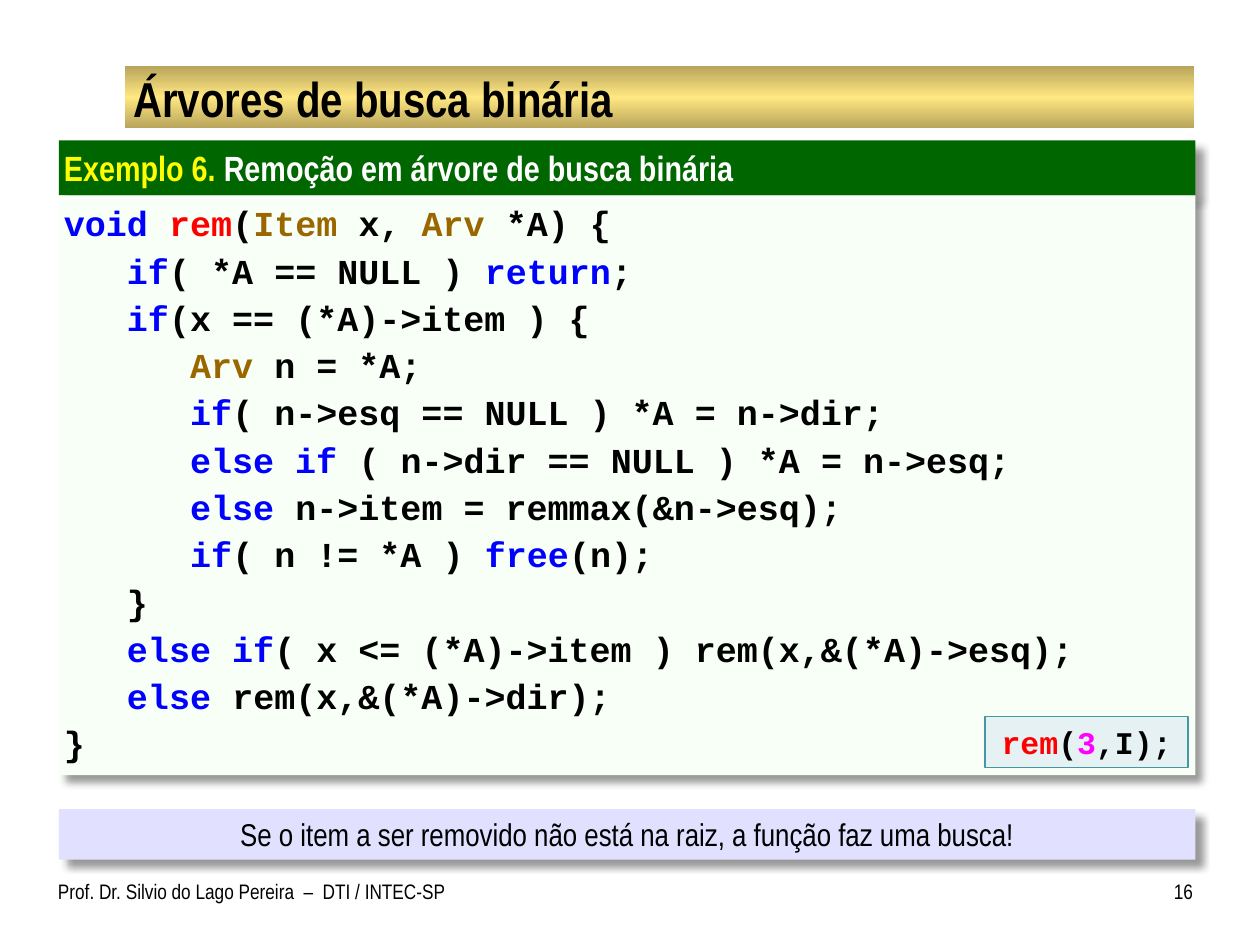
from lxml.etree import SubElement
from pptx import Presentation
from pptx.dml.color import RGBColor
from pptx.enum.shapes import MSO_SHAPE
from pptx.enum.text import MSO_ANCHOR, PP_ALIGN
from pptx.oxml.ns import qn
from pptx.util import Cm, Pt

NARROW, MONO = "Arial Narrow", "Courier New"
BLACK, WHITE, YELLOW = "000000", "FFFFFF", "FFFF00"
BLUE, RED, BROWN, MAGENTA = "0000FF", "FF0000", "996600", "FF00FF"
LEFT, WIDTH = 1.19, 22.91

TITLE = [[("Árvores de busca binária", BLACK)]]
HEADING = [[("Exemplo 6.", YELLOW), (" Remoção em árvore de busca binária", WHITE)]]
CODE = [
    [("void ", BLUE), ("rem", RED), ("(", BLACK), ("Item", BROWN),
     (" x, ", BLACK), ("Arv", BROWN), (" *A) {", BLACK)],
    [("   if", BLUE), ("( *A == NULL ) ", BLACK), ("return", BLUE), (";", BLACK)],
    [("   if", BLUE), ("(x == (*A)->item ) {", BLACK)],
    [("      Arv", BROWN), (" n = *A;", BLACK)],
    [("      if", BLUE), ("( n->esq == NULL ) *A = n->dir;", BLACK)],
    [("      else if", BLUE), (" ( n->dir == NULL ) *A = n->esq;", BLACK)],
    [("      else", BLUE), (" n->item = remmax(&n->esq);", BLACK)],
    [("      if", BLUE), ("( n != *A ) ", BLACK), ("free", BLUE), ("(n);", BLACK)],
    [("   }", BLACK)],
    [("   else if", BLUE), ("( x <= (*A)->item ) rem(x,&(*A)->esq);", BLACK)],
    [("   else ", BLUE), ("rem(x,&(*A)->dir);", BLACK)],
    [("}", BLACK)],
]
CALL = [[("rem", RED), ("(", BLACK), ("3", MAGENTA), (",I);", BLACK)]]
REMARK = [[("Se o item a ser removido não está na raiz, a função faz uma busca!", BLACK)]]
AUTHOR = [[("Prof. Dr. Silvio do Lago Pereira  –  DTI / INTEC-SP", BLACK)]]
NUMBER = [[("16", BLACK)]]


def color(value):
    """Turn a hex string into a colour."""
    return RGBColor.from_string(value)


def add_shadow(shape):
    """Give a shape a soft shadow to the lower right."""
    effects = shape._element.spPr.find(qn("a:effectLst"))
    shadow = SubElement(effects, qn("a:outerShdw"), blurRad=str(Pt(4)),
                        dist=str(Pt(6)), dir="2700000", algn="tl", rotWithShape="0")
    black = SubElement(shadow, qn("a:srgbClr"), val=BLACK)
    SubElement(black, qn("a:alpha"), val="40000")


def add_box(box, fill=None, line=None, shadow=False):
    """Add a rectangle at box, given in centimetres."""
    shape = slide.shapes.add_shape(MSO_SHAPE.RECTANGLE, *map(Cm, box))
    shape.shadow.inherit = False
    if fill:
        shape.fill.solid()
        shape.fill.fore_color.rgb = color(fill)
    if line:
        shape.line.color.rgb = color(line)
        shape.line.width = Pt(0.75)
    else:
        shape.line.fill.background()
    if shadow:
        add_shadow(shape)
    return shape


def write(shape, lines, font, size, bold=False, align=PP_ALIGN.LEFT,
          insets=(0.1, 0.13, 0.1, 0.13), anchor=MSO_ANCHOR.TOP, gap=0):
    """Fill a shape with lines of coloured runs, gap points apart."""
    frame = shape.text_frame
    frame.word_wrap = True
    frame.vertical_anchor = anchor
    (frame.margin_left, frame.margin_top,
     frame.margin_right, frame.margin_bottom) = map(Cm, insets)
    for index, runs in enumerate(lines):
        paragraph = frame.add_paragraph() if index else frame.paragraphs[0]
        paragraph.alignment = align
        paragraph.space_before = Pt(gap if index else 0)
        paragraph.font.name = font
        paragraph.font.size = Pt(size)
        paragraph.font.bold = bold
        for text, text_color in runs:
            run = paragraph.add_run()
            run.text = text
            run.font.color.rgb = color(text_color)


def add_text(box, lines, size, **options):
    """Add a text box in the narrow font."""
    write(slide.shapes.add_textbox(*map(Cm, box)), lines, NARROW, size, **options)


def add_gold_band(box, edge, middle):
    """Add a band that is lighter along its middle."""
    band = add_box(box)
    band.fill.gradient()
    band.fill.gradient_angle = 90
    stops = band.fill._fill._gradFill.find(qn("a:gsLst"))
    for stop in list(stops):
        stops.remove(stop)
    for position, value in ((0, edge), (50000, middle), (100000, edge)):
        stop = SubElement(stops, qn("a:gs"), pos=str(position))
        SubElement(stop, qn("a:srgbClr"), val=value)


presentation = Presentation()
presentation.slide_width, presentation.slide_height = Cm(25.4), Cm(19.05)
slide = presentation.slides.add_slide(presentation.slide_layouts[6])

add_gold_band((2.52, 1.33, 21.56, 1.26), "B8A45B", "FFE781")
heading = add_box((LEFT, 2.83, WIDTH, 1.11), "006600", shadow=True)
write(heading, HEADING, NARROW, 20, bold=True)
listing = add_box((LEFT, 3.94, WIDTH, 11.69), "F7FFF7", shadow=True)
write(listing, CODE, MONO, 20, bold=True, gap=3)
call = add_box((19.86, 14.45, 4.09, 1.02), "E5F1F3", line="4597A0")
write(call, CALL, MONO, 18, bold=True, align=PP_ALIGN.CENTER)
remark = add_box((LEFT, 16.31, WIDTH, 1.02), "E1E1FF", shadow=True)
write(remark, REMARK, NARROW, 18, align=PP_ALIGN.CENTER)

add_text((2.54, 1.37, 21.51, 1.19), TITLE, 28, bold=True,
         insets=(0.15, 0.03, 0.15, 0.03), anchor=MSO_ANCHOR.MIDDLE)
add_text((1.17, 17.58, 8.31, 1.07), AUTHOR, 12, insets=(0, 0.13, 0.1, 0.13))
add_text((23.06, 17.58, 0.99, 1.07), NUMBER, 12, align=PP_ALIGN.RIGHT,
         insets=(0.25, 0.13, 0, 0.13))

presentation.save("out.pptx")
